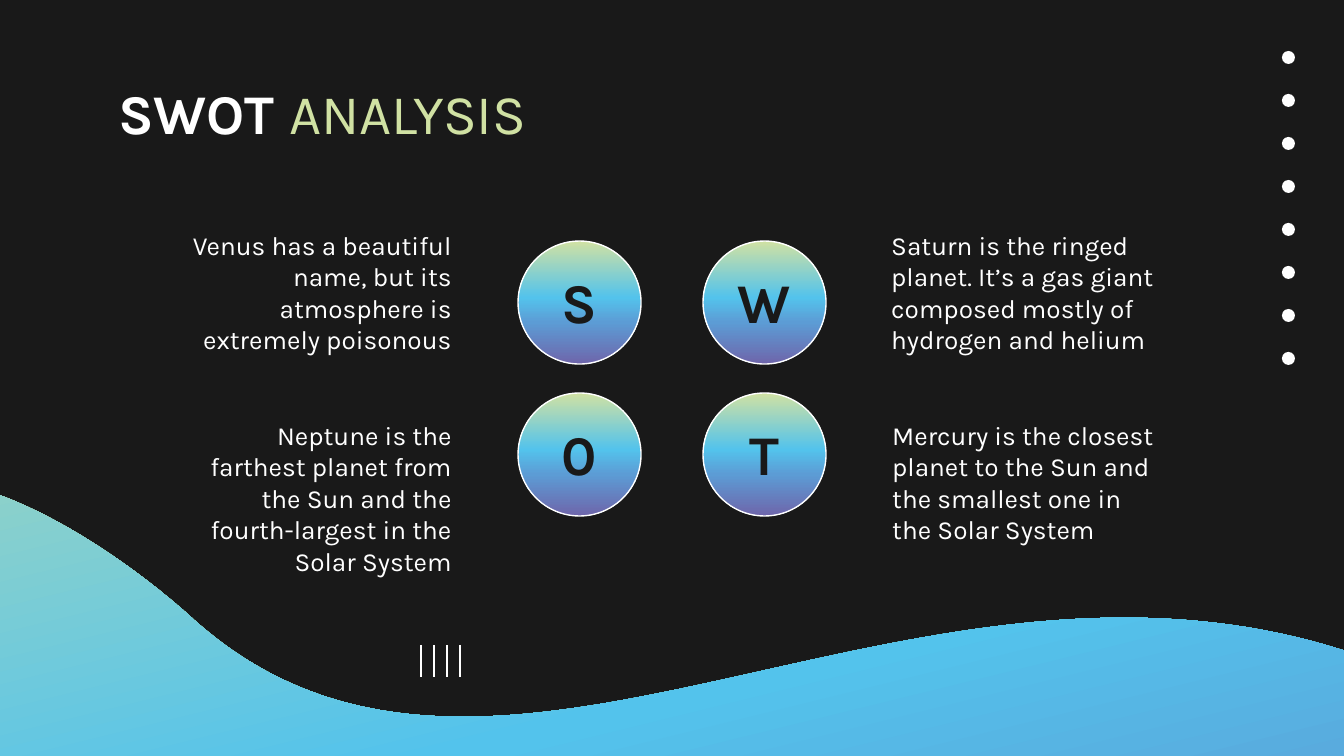
from math import cos, radians, sin

from lxml.etree import SubElement
from pptx import Presentation
from pptx.dml.color import RGBColor as Rgb
from pptx.enum.shapes import MSO_CONNECTOR as Link, MSO_SHAPE as Kind
from pptx.enum.text import MSO_ANCHOR as Anchor, PP_ALIGN as Align
from pptx.oxml.ns import qn
from pptx.util import Pt

PX = 914400 / 134.4
FONT = "Karla"
COLORS = {"dark": "191919", "white": "FFFFFF", "lime": "D0E1A3",
          "sky": "53C3EC", "blue": "5C9CD5", "violet": "6E66AB"}
STOPS = [(0, "lime"), (46, "sky"), (66, "blue"), (100, "violet")]

TILT = -13.8
BOX = (-267, 339, 1754, 891)
START = (-38, 484)
# Each segment is one end point, or two control points and an end point.
WAVE = [
    [(34, 499), (126, 559), (191, 617)],
    [(520, 917), (1001, 414), (1497, 722)],
    [(1567, 1007)],
    [(1125, 1116)],
    [(1012, 1038), (484, 974), (382, 978)],
    [(-91, 997), (-124, 1051), (-227, 1054)],
]

LEFT, RIGHT = 172, 878
UPPER, LOWER = 216, 406
NOTES = [
    (LEFT, UPPER, Align.RIGHT,
     "Venus has a beautiful name, but its atmosphere is extremely poisonous"),
    (RIGHT, UPPER, Align.LEFT,
     "Saturn is the ringed planet. It’s a gas giant composed mostly of "
     "hydrogen and helium"),
    (LEFT, LOWER, Align.RIGHT,
     "Neptune is the farthest planet from the Sun and the fourth-largest "
     "in the Solar System"),
    (RIGHT + 1, LOWER, Align.LEFT,
     "Mercury is the closest planet to the Sun and the smallest one in "
     "the Solar System"),
]


def emu(*nums):
    return [round(n * PX) for n in nums]


def color(name):
    return Rgb.from_string(COLORS[name])


def shade(shape):
    """Fill the shape from top to bottom with the four gradient stops."""
    shape.fill.gradient()
    shape.fill.gradient_angle = 270
    stops = shape.element.spPr.find(".//" + qn("a:gsLst"))
    for old in list(stops):
        stops.remove(old)
    for pos, name in STOPS:
        stop = SubElement(stops, qn("a:gs"), pos=str(pos * 1000))
        SubElement(stop, qn("a:srgbClr"), val=COLORS[name])


def turn(point):
    """Undo the tilt and give the place inside the box."""
    a = radians(-TILT)
    left, top, wide, high = BOX
    x, y = point[0] - left - wide / 2, point[1] - top - high / 2
    return (round(wide / 2 + x * cos(a) - y * sin(a)),
            round(high / 2 + x * sin(a) + y * cos(a)))


def add_step(path, tag, points):
    step = SubElement(path, qn(tag))
    for x, y in map(turn, points):
        SubElement(step, qn("a:pt"), x=str(x), y=str(y))


def add_wave(slide):
    left, top, wide, high = BOX
    right, low = left + wide, top + high
    pen = slide.shapes.build_freeform(left, top, scale=PX)
    pen.add_line_segments([(right, top), (right, low), (left, low)])
    wave = pen.convert_to_shape()
    # Swap the frame's straight edges for the curves.
    path = wave.element.spPr.find(".//" + qn("a:path"))
    for old in list(path):
        path.remove(old)
    add_step(path, "a:moveTo", [START])
    for seg in WAVE:
        add_step(path, "a:cubicBezTo" if len(seg) == 3 else "a:lnTo", seg)
    SubElement(path, qn("a:close"))
    wave.rotation = TILT
    wave.shadow.inherit = False
    wave.line.fill.background()
    shade(wave)


def add_disc(slide, x, y, size):
    disc = slide.shapes.add_shape(Kind.OVAL, *emu(x, y, size, size))
    disc.shadow.inherit = False
    return disc


def add_dot(slide, x, y):
    dot = add_disc(slide, x, y, 13)
    dot.fill.solid()
    dot.fill.fore_color.rgb = color("white")
    dot.line.fill.background()


def add_ball(slide, x, y):
    ball = add_disc(slide, x, y, 123)
    shade(ball)
    ball.line.color.rgb = color("white")
    ball.line.width = Pt(0.75)


def add_bar(slide, x, top, end):
    bar = slide.shapes.add_connector(Link.STRAIGHT, *emu(x, top, x, end))
    bar.line.color.rgb = color("white")
    bar.line.width = Pt(1.5)
    SubElement(bar.element.spPr, qn("a:effectLst"))


def add_text(slide, box, runs, size, align=Align.LEFT, anchor=Anchor.TOP):
    """Add one paragraph; each run is (words, colour, bold)."""
    frame = slide.shapes.add_textbox(*emu(*box)).text_frame
    frame.word_wrap = True
    frame.vertical_anchor = anchor
    frame.margin_left = frame.margin_right = Pt(7.2)
    frame.margin_top = frame.margin_bottom = Pt(7.2)
    para = frame.paragraphs[0]
    para.alignment = align
    for words, tint, bold in runs:
        run = para.add_run()
        run.text = words
        run.font.name = FONT
        run.font.size = Pt(size)
        run.font.bold = bold
        run.font.color.rgb = color(tint)


def main():
    deck = Presentation()
    deck.slide_width, deck.slide_height = emu(1344, 756)
    slide = deck.slides.add_slide(deck.slide_layouts[6])
    slide.background.fill.solid()
    slide.background.fill.fore_color.rgb = color("dark")

    add_wave(slide)
    for i in range(8):
        add_dot(slide, 1282, 51 + 43 * i)
    for i in range(4):
        add_bar(slide, 421 + 13 * i, 645, 677)

    add_text(slide, (105, 65, 1075, 95),
             [("SWOT ", "white", True), ("ANALYSIS", "lime", False)], 30)
    for i, letter in enumerate("SW0T"):
        row, col = divmod(i, 2)
        x, y = 518 + 185 * col, 241 + 152 * row
        add_ball(slide, x, y)
        add_text(slide, (x + 14, y + 13, 94, 94), [(letter, "dark", True)],
                 30, Align.CENTER, Anchor.MIDDLE)
    for x, y, align, words in NOTES:
        add_text(slide, (x, y, 293, 134), [(words, "white", False)], 14, align)

    deck.save("out.pptx")


if __name__ == "__main__":
    main()
